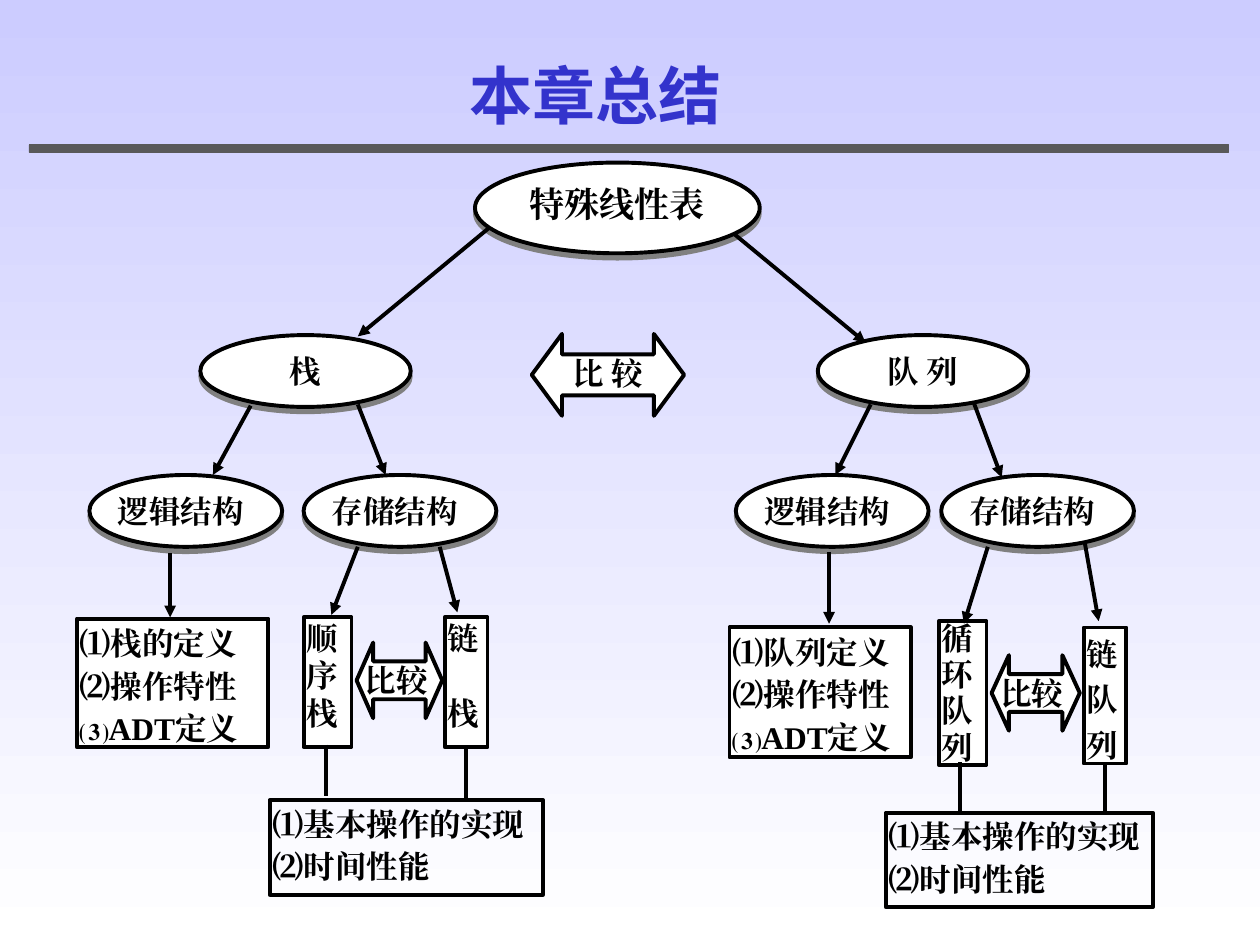
from dataclasses import dataclass

import lxml.etree
import pptx
import pptx.dml.color
import pptx.enum.shapes
import pptx.enum.text
import pptx.oxml.ns
import pptx.util
from pptx.util import Inches

SHAPE = pptx.enum.shapes.MSO_SHAPE
ALIGN = pptx.enum.text.PP_ALIGN
COLORS = {"ink": "000000", "paper": "FFFFFF", "sky": "CCCCFF",
          "title": "3333CC", "bar": "595959", "shade": "808080"}
BODY_FONT, TITLE_FONT = "Times New Roman", "Noto Sans CJK SC"


@dataclass
class Node:
    box: tuple
    lines: tuple
    kind: int = SHAPE.RECTANGLE
    insets: tuple = (0.02, 0.01)
    size: int = 18
    spacing: float = 1.0
    align: int = ALIGN.JUSTIFY
    gap: float = 0
    filled: bool = True
    head: float = 0


@dataclass
class Link:
    start: tuple
    end: tuple
    arrow: bool = True


def rgb(name: str) -> pptx.dml.color.RGBColor:
    return pptx.dml.color.RGBColor.from_string(COLORS[name])


def set_all(target, values: dict) -> None:
    for name, value in values.items():
        setattr(target, name, value)


def sub(parent, tag: str, **attributes: str):
    return lxml.etree.SubElement(parent, pptx.oxml.ns.qn(tag), attributes)


def add_shadow(effects, points: float, degrees: int) -> None:
    shadow = sub(effects, "a:outerShdw", blurRad="0", dist=str(pptx.util.Pt(points)),
                 dir=str(degrees * 60000), algn="ctr", rotWithShape="0")
    sub(shadow, "a:srgbClr", val=COLORS["shade"])


def write(frame, lines: tuple, insets: tuple, paragraph_format: dict,
          font: str, size: int, color: str, gap: float = 0) -> None:
    across, down = map(Inches, insets)
    set_all(frame, {"word_wrap": True, "margin_left": across, "margin_right": across,
                    "margin_top": down, "margin_bottom": down,
                    "vertical_anchor": pptx.enum.text.MSO_ANCHOR.TOP})
    for index, line in enumerate(lines):
        paragraph = frame.add_paragraph() if index else frame.paragraphs[0]
        set_all(paragraph, paragraph_format)
        if index and gap:
            paragraph.space_before = pptx.util.Pt(gap)
        run = paragraph.add_run()
        run.text = line
        set_all(run.font, {"name": font, "size": pptx.util.Pt(size), "bold": True})
        run.font.color.rgb = rgb(color)
        sub(run.font._element, "a:ea", typeface=font)


def draw_node(slide, node: Node) -> None:
    shape = slide.shapes.add_shape(node.kind, *map(Inches, node.box))
    shape.shadow.inherit = False
    if node.filled:
        shape.fill.solid()
        shape.fill.fore_color.rgb = rgb("paper")
    else:
        shape.fill.background()
    shape.line.color.rgb = rgb("ink")
    shape.line.width = pptx.util.Pt(2.25)
    if node.kind == SHAPE.OVAL:
        add_shadow(shape._element.spPr.find(pptx.oxml.ns.qn("a:effectLst")), 3, 90)
    if node.head:
        shape.adjustments[0], shape.adjustments[1] = 0.5, node.head
    write(shape.text_frame, node.lines, node.insets,
          {"alignment": node.align, "line_spacing": node.spacing},
          BODY_FONT, node.size, "ink", node.gap)


def draw_link(slide, link: Link) -> None:
    connector = slide.shapes.add_connector(
        pptx.enum.shapes.MSO_CONNECTOR.STRAIGHT, *map(Inches, link.start + link.end))
    connector.line.color.rgb = rgb("ink")
    connector.line.width = pptx.util.Pt(2.25)
    if link.arrow:
        sub(connector.line._get_or_add_ln(), "a:tailEnd", type="triangle")
    sub(connector._element.spPr, "a:effectLst")


def branch(left: float, top: float, text: str) -> Node:
    return Node((left, top, 1.67, 0.57), (text,), SHAPE.OVAL, (0.1, 0.05),
                align=ALIGN.CENTER)


def structure(left: float, text: str) -> Node:
    return Node((left, 3.77, 1.53, 0.57), (text,), SHAPE.OVAL, (0, 0.05))


def compare(box: tuple, head: float) -> Node:
    return Node(box, ("比较",), SHAPE.LEFT_RIGHT_ARROW, (0, 0), head=head)


def logic(box: tuple, name: str) -> Node:
    return Node(box, (f"⑴{name}定义", "⑵操作特性", "⑶ADT定义"), spacing=1.12)


def operations(box: tuple) -> Node:
    return Node(box, ("⑴基本操作的实现", "⑵时间性能"), insets=(0.02, 0),
                spacing=1.12, filled=False)


NODES = [
    # Root and its two branches
    Node((3.77, 1.29, 2.26, 0.72), ("特殊线性表",), SHAPE.OVAL, (0.1, 0.05), 20),
    branch(1.59, 2.66, "栈"),
    branch(6.49, 2.66, "队 列"),
    Node((4.22, 2.65, 1.21, 0.65), ("比 较",), SHAPE.LEFT_RIGHT_ARROW, (0.1, 0),
         align=ALIGN.CENTER, head=0.37),
    # Logical and storage structures
    *(structure(left, text) for left, text in
      [(0.71, "逻辑结构"), (2.41, "存储结构"), (5.84, "逻辑结构"), (7.47, "存储结构")]),
    # Stack details
    logic((0.61, 4.91, 1.52, 1.02), "栈的"),
    Node((2.41, 4.9, 0.38, 1.03), ("顺序栈",)),
    Node((3.53, 4.9, 0.34, 1.03), ("链", "栈"), gap=21.5),
    compare((2.83, 5.1, 0.68, 0.6), 0.22),
    operations((2.14, 6.35, 2.17, 0.75)),
    # Queue details
    logic((5.79, 4.98, 1.44, 1.03), "队列"),
    Node((7.45, 4.93, 0.38, 1.14), ("循环队列",), insets=(0.02, 0), spacing=0.96),
    Node((8.6, 4.98, 0.34, 1.08), ("链队列",), insets=(0.02, 0), spacing=1.2),
    compare((7.87, 5.2, 0.7, 0.6), 0.23),
    operations((7.03, 6.45, 2.12, 0.75)),
]

LINKS = [
    # Root to branches
    Link((3.88, 1.81), (2.84, 2.67)), Link((5.83, 1.86), (6.87, 2.72)),
    # Branches to structures
    Link((1.99, 3.22), (1.69, 3.77)), Link((2.84, 3.21), (3.06, 3.77)),
    Link((6.91, 3.21), (6.63, 3.77)), Link((7.73, 3.2), (7.95, 3.79)),
    # Structures to details
    Link((1.35, 4.39), (1.35, 4.9)), Link((6.58, 4.38), (6.58, 4.95)),
    Link((2.84, 4.34), (2.63, 4.88)), Link((3.49, 4.34), (3.63, 4.86)),
    Link((7.84, 4.34), (7.65, 4.95)), Link((8.61, 4.31), (8.72, 4.93)),
    # Details to operations
    *(Link((x, top), (x, bottom), False) for x, top, bottom in
      [(2.59, 5.91, 6.32), (3.7, 5.93, 6.34), (7.62, 6.05, 6.45), (8.77, 6.05, 6.45)]),
]


def draw_header(slide) -> None:
    bar = slide.shapes.add_shape(SHAPE.RECTANGLE, *map(Inches, (0.23, 1.15, 9.52, 0.06)))
    bar.shadow.inherit = False
    bar.fill.solid()
    bar.fill.fore_color.rgb = bar.line.color.rgb = rgb("bar")
    bar.line.width = pptx.util.Pt(0.5)
    title = slide.shapes.add_textbox(*map(Inches, (2.93, 0.4, 3.6, 0.7)))
    write(title.text_frame, ("本章总结",), (0.1, 0.05), {"alignment": ALIGN.CENTER},
          TITLE_FONT, 36, "title")
    # Text shadow sits right after the text fill
    properties = title.text_frame.paragraphs[0].runs[0].font._element
    effects = sub(properties, "a:effectLst")
    properties.find(pptx.oxml.ns.qn("a:solidFill")).addnext(effects)
    add_shadow(effects, 2, 45)


def main() -> None:
    deck = pptx.Presentation()
    set_all(deck, {"slide_width": Inches(10), "slide_height": Inches(7.5)})
    slide = deck.slides.add_slide(deck.slide_layouts[6])

    # Background gradient, top to bottom
    backdrop = slide.background.fill
    backdrop.gradient()
    backdrop.gradient_angle = 270
    for stop, color in zip(backdrop.gradient_stops, ("sky", "paper")):
        stop.color.rgb = rgb(color)

    draw_header(slide)
    for node in NODES:
        draw_node(slide, node)
    for link in LINKS:
        draw_link(slide, link)
    deck.save("out.pptx")


if __name__ == "__main__":
    main()
